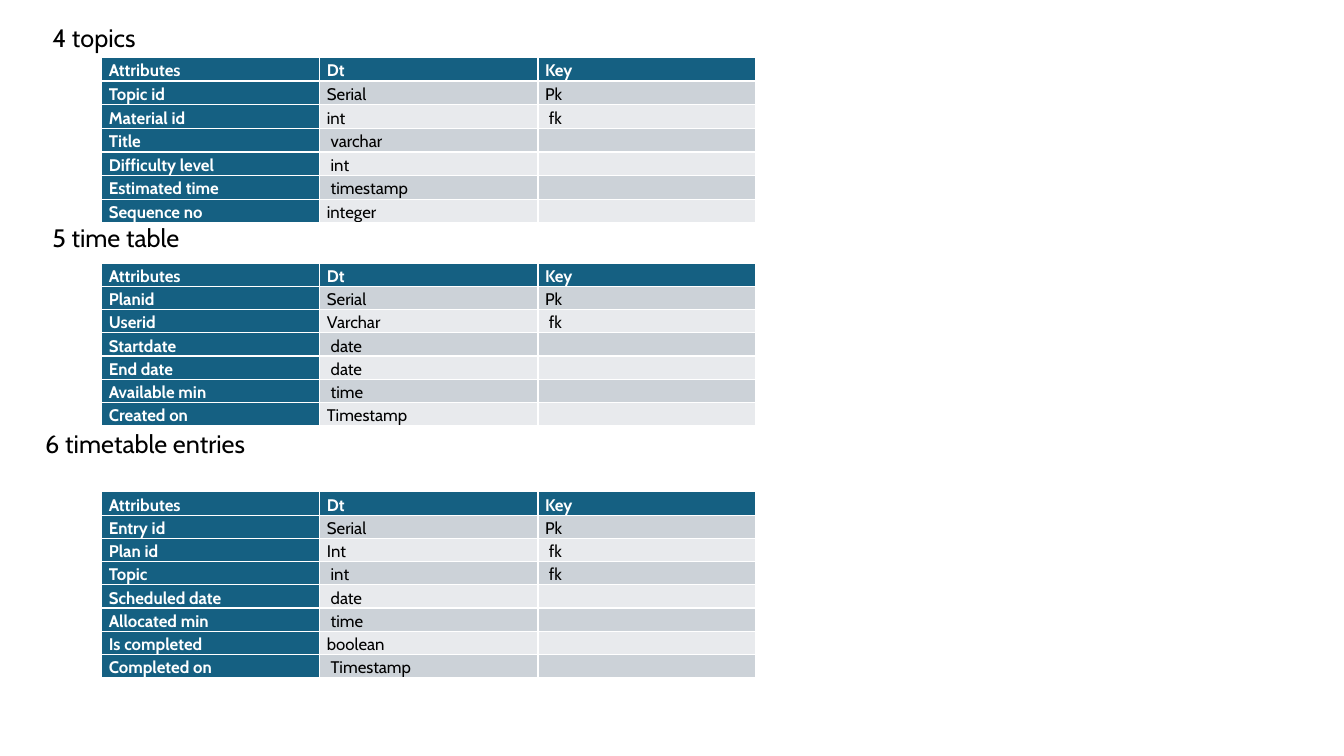
from pptx import Presentation
from pptx.dml.color import RGBColor
from pptx.util import Inches, Pt

HEAD = ("Attributes", "Dt", "Key")
# title, title left, title top, table top, rows
TABLES = [
    ("4 topics", 0.42, 0.17, 0.57, [
        ("Topic id", "Serial", "Pk"),
        ("Material id", "int", " fk"),
        ("Title", " varchar", ""),
        ("Difficulty level", " int", ""),
        ("Estimated time", " timestamp", ""),
        ("Sequence no", "integer", ""),
    ]),
    ("5 time table", 0.42, 2.16, 2.61, [
        ("Planid", "Serial", "Pk"),
        ("Userid", "Varchar", " fk"),
        ("Startdate", " date", ""),
        ("End date", " date", ""),
        ("Available min", " time", ""),
        ("Created on", "Timestamp", ""),
    ]),
    ("6 timetable entries", 0.35, 4.2, 4.88, [
        ("Entry id", "Serial", "Pk"),
        ("Plan id", "Int", " fk"),
        ("Topic", " int", " fk"),
        ("Scheduled date", " date", ""),
        ("Allocated min", " time", ""),
        ("Is completed", "boolean", ""),
        ("Completed on", " Timestamp", ""),
    ]),
]
LEFT, WIDTH, ROW = 1.01, 6.49, 0.23
BLUE, WHITE, BLACK = "156082", "FFFFFF", "000000"
BANDS = ("E8EAED", "CCD2D8")


def color(code):
    return RGBColor.from_string(code)


def style(para, size, ink, bold=False):
    font = para.font
    font.name, font.size, font.bold = "Cabin", Pt(size), bold
    font.color.rgb = color(ink)


def add_title(slide, text, left, top):
    box = slide.shapes.add_textbox(Inches(left), Inches(top), Inches(7.65), Inches(0.4))
    frame = box.text_frame
    frame.word_wrap = True
    frame.text = text
    style(frame.paragraphs[0], 18, BLACK)


def fill_cell(cell, text, row, col):
    """Write one cell: blue for the header row and first column, else banded."""
    label = row == 0 or col == 0
    cell.fill.solid()
    cell.fill.fore_color.rgb = color(BLUE if label else BANDS[row % 2])
    cell.margin_left = cell.margin_right = Inches(0.07)
    cell.margin_top = cell.margin_bottom = 0
    cell.text = text
    para = cell.text_frame.paragraphs[0]
    para.line_spacing, para.space_after = 1.15, Pt(8)
    style(para, 12, WHITE if label else BLACK, label)


def add_grid(slide, top, rows):
    frame = slide.shapes.add_table(len(rows), len(HEAD), Inches(LEFT), Inches(top),
                                   Inches(WIDTH), Inches(ROW * len(rows)))
    table = frame.table
    table.first_col = True
    for r, row in enumerate(rows):
        for c, text in enumerate(row):
            fill_cell(table.cell(r, c), text, r, c)


def main():
    deck = Presentation()
    deck.slide_width, deck.slide_height = Inches(13.33), Inches(7.5)
    slide = deck.slides.add_slide(deck.slide_layouts[6])
    for title, left, top, grid, rows in TABLES:
        add_grid(slide, grid, [HEAD] + rows)
        add_title(slide, title, left, top)
    deck.save("out.pptx")


if __name__ == "__main__":
    main()
